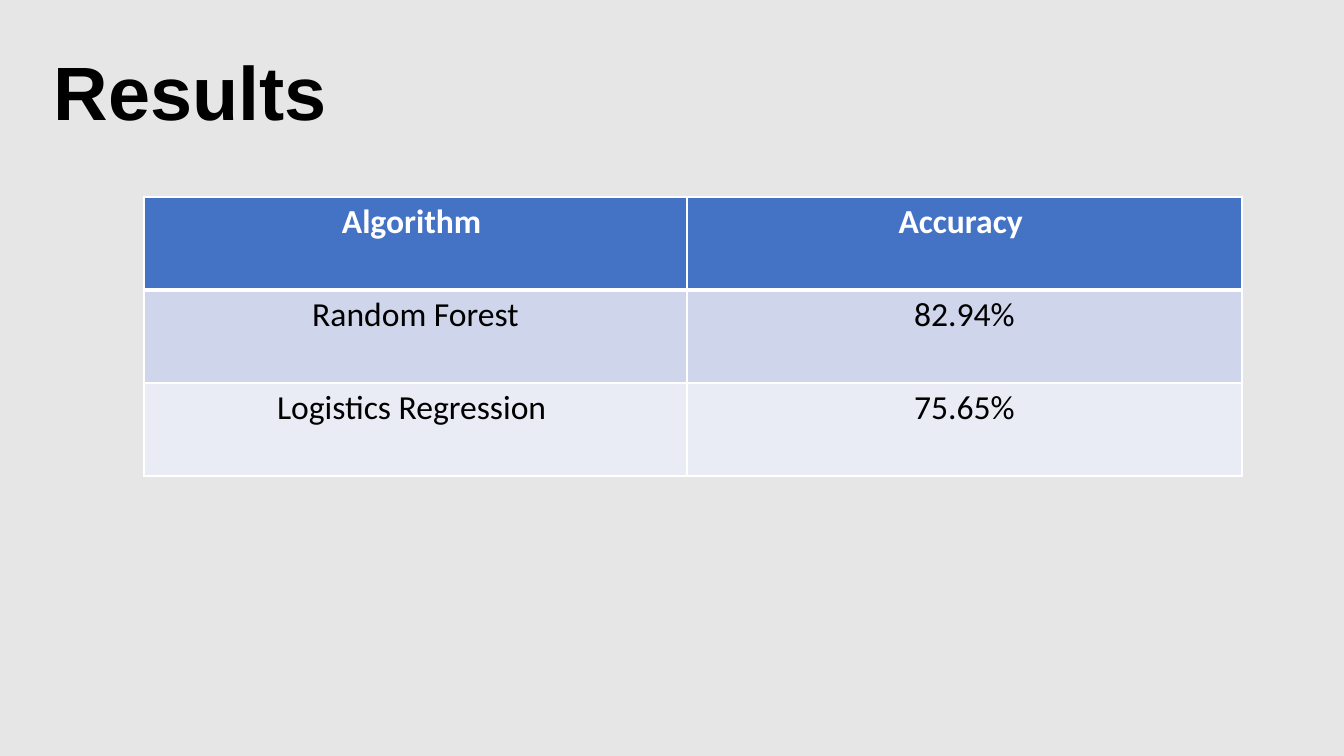
"""Build the results slide with a table of accuracy by algorithm."""
from dataclasses import dataclass

from lxml.etree import SubElement
from pptx import Presentation
from pptx.dml.color import RGBColor
from pptx.enum.text import PP_ALIGN
from pptx.oxml.ns import qn
from pptx.slide import Slide
from pptx.table import _Cell
from pptx.text.text import _Paragraph
from pptx.util import Emu, Pt

BLACK = RGBColor(0x00, 0x00, 0x00)
WHITE = RGBColor(0xFF, 0xFF, 0xFF)
GREY = RGBColor(0xE7, 0xE6, 0xE6)
BLUE = RGBColor(0x44, 0x72, 0xC4)
DARK = RGBColor(0xCF, 0xD5, 0xEA)
LIGHT = RGBColor(0xE9, 0xEB, 0xF5)

WIDTHS = (543, 555)
HEIGHT = 93


@dataclass(frozen=True)
class Style:
    font: str
    size: int
    color: RGBColor
    bold: bool = False


@dataclass(frozen=True)
class Row:
    texts: tuple[str, str]
    fill: RGBColor
    style: Style
    top: int = 1
    base: int = 1


TITLE = Style("Arial", 54, BLACK, True)
HEAD = Style("Calibri", 24, WHITE, True)
BODY = Style("Calibri", 24, BLACK)

ROWS = (
    Row(("Algorithm ", "Accuracy "), BLUE, HEAD, base=3),
    Row(("Random Forest", "82.94%"), DARK, BODY, top=3),
    Row(("Logistics Regression ", "75.65%"), LIGHT, BODY),
)


def px(count: int) -> Emu:
    """Turn pixels into EMU."""
    return Emu(round(count * 914400 / 100.8))


def add_run(para: _Paragraph, text: str, style: Style) -> None:
    """Add one styled run to a paragraph."""
    run = para.add_run()
    run.text = text
    run.font.name = style.font
    run.font.size = Pt(style.size)
    run.font.bold = style.bold
    run.font.color.rgb = style.color


def add_edge(cell: _Cell, side: str, width: int) -> None:
    """Add a white border to one side of a cell."""
    props = cell._tc.get_or_add_tcPr()
    line = SubElement(props, qn(f"a:ln{side}"), w=str(Pt(width)))
    fill = SubElement(line, qn("a:solidFill"))
    SubElement(fill, qn("a:srgbClr"), val=str(WHITE))


def fill_cell(cell: _Cell, text: str, row: Row) -> None:
    """Give a cell its borders, fill and centred text."""
    for side, width in zip("LRTB", (1, 1, row.top, row.base)):
        add_edge(cell, side, width)
    cell.fill.solid()
    cell.fill.fore_color.rgb = row.fill
    para = cell.text_frame.paragraphs[0]
    para.alignment = PP_ALIGN.CENTER
    add_run(para, text, row.style)


def add_title(slide: Slide, text: str) -> None:
    """Add the slide title."""
    box = slide.shapes.add_textbox(px(44), px(40), px(680), px(102))
    box.text_frame.word_wrap = True
    add_run(box.text_frame.paragraphs[0], text, TITLE)


def add_grid(slide: Slide) -> None:
    """Add the table of results."""
    table = slide.shapes.add_table(
        len(ROWS), len(WIDTHS), px(144), px(197),
        px(sum(WIDTHS)), px(HEIGHT * len(ROWS)),
    ).table
    for col, width in zip(table.columns, WIDTHS):
        col.width = px(width)
    for line, row in zip(table.rows, ROWS):
        line.height = px(HEIGHT)
        for cell, text in zip(line.cells, row.texts):
            fill_cell(cell, text, row)


def main() -> None:
    """Build and save the deck."""
    deck = Presentation()
    deck.slide_width, deck.slide_height = px(1344), px(756)
    slide = deck.slides.add_slide(deck.slide_layouts[6])
    slide.background.fill.solid()
    slide.background.fill.fore_color.rgb = GREY
    add_title(slide, "Results")
    add_grid(slide)
    deck.save("out.pptx")


main()
